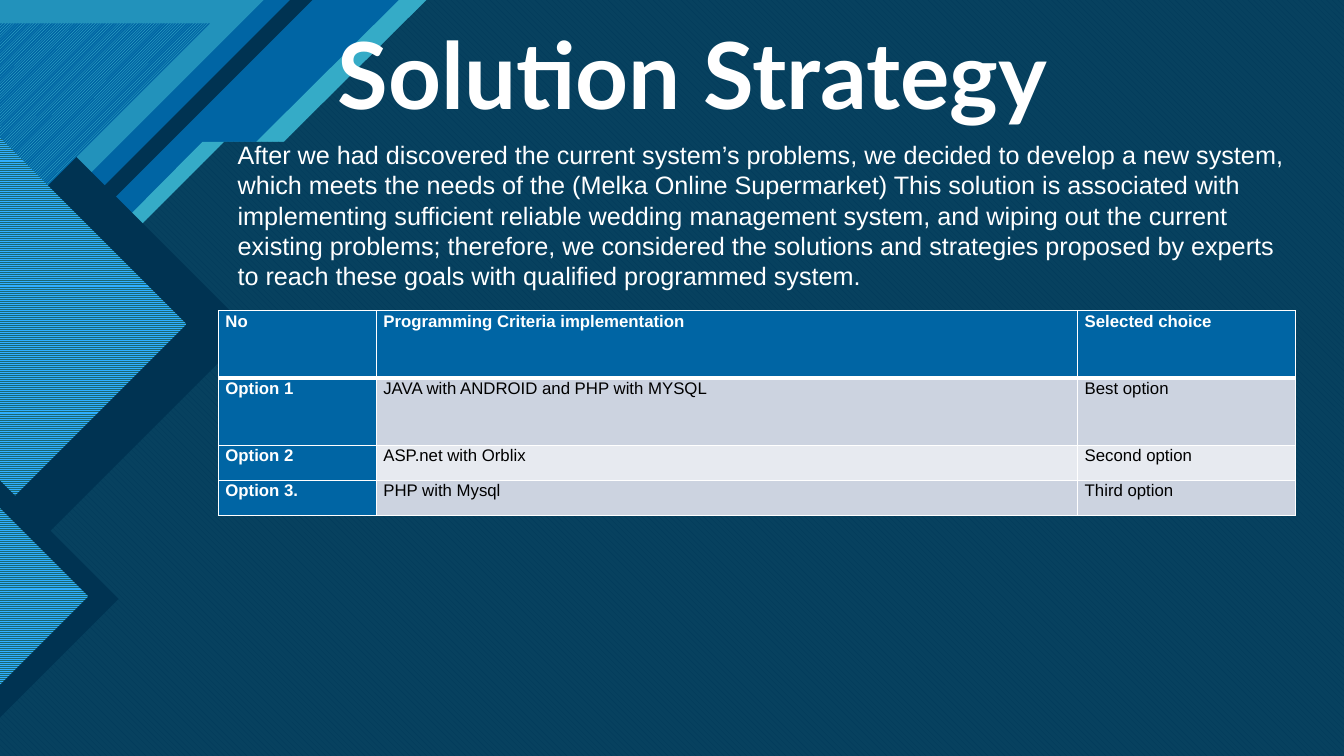
from dataclasses import dataclass

from lxml.etree import SubElement
from pptx import Presentation
from pptx.dml.color import RGBColor
from pptx.enum.dml import MSO_PATTERN
from pptx.enum.text import MSO_ANCHOR, MSO_AUTO_SIZE, PP_ALIGN
from pptx.oxml.ns import qn
from pptx.slide import Slide
from pptx.table import _Cell
from pptx.text.text import TextFrame
from pptx.util import Emu, Inches, Pt

COLORS = {
    "blue": "0065A4",
    "navy": "003352",
    "teal": "35ABC7",
    "sky": "2292BB",
    "aqua": "47C3D3",
    "backdrop": "07415F",
    "backdrop_line": "00385A",
    "diamond": "1B6872",
    "diamond_line": "2FAFFF",
    "white": "FFFFFF",
    "black": "000000",
    "odd_row": "CCD3E0",
    "even_row": "E7EAF0",
}

SLIDE_WIDTH, SLIDE_HEIGHT = Inches(13.33), Inches(7.5)
GRID_COLUMNS, GRID_ROWS = 160, 90


def across(columns: float) -> Emu:
    return Emu(round(SLIDE_WIDTH * columns / GRID_COLUMNS))


def down(rows: float) -> Emu:
    return Emu(round(SLIDE_HEIGHT * rows / GRID_ROWS))


def color(name: str) -> RGBColor:
    return RGBColor.from_string(COLORS[name])


@dataclass(frozen=True)
class Panel:
    corners: list[tuple[float, float]]
    fill: str
    line_color: str = ""
    pattern: MSO_PATTERN | None = None


def corner(size: float, top: float = 0) -> list[tuple[float, float]]:
    return [(0, top), (size, top), (0, top + size)]


def half_diamond(middle: float, reach: float) -> list[tuple[float, float]]:
    return [(0, middle - reach), (reach, middle), (0, middle + reach)]


def field(top_start: float, shelf_end: float, shelf_start: float,
          left_start: float) -> list[tuple[float, float]]:
    shelf = 16.9
    return [(top_start, 0), (GRID_COLUMNS, 0), (GRID_COLUMNS, GRID_ROWS),
            (0, GRID_ROWS), (0, left_start), (shelf_start, shelf), (shelf_end, shelf)]


PANELS = [
    Panel(field(47.5, 30.5, 24.1, 41.2), "teal"),
    Panel(corner(37.2), "navy"),
    Panel(corner(34.5), "blue"),
    Panel(corner(31.4), "sky"),
    Panel(field(50.8, 33.8, 26.7, 43.6), "backdrop", "backdrop_line",
          MSO_PATTERN.WIDE_DOWNWARD_DIAGONAL),
    Panel(half_diamond(39.4, 29.8), "navy"),
    Panel(corner(25, 2.8), "blue", "aqua", MSO_PATTERN.LIGHT_UPWARD_DIAGONAL),
    Panel(half_diamond(38.6, 22.2), "diamond", "diamond_line", MSO_PATTERN.LIGHT_HORIZONTAL),
    Panel(half_diamond(71.3, 14.1), "navy"),
    Panel(half_diamond(71, 10.5), "diamond", "diamond_line", MSO_PATTERN.LIGHT_HORIZONTAL),
]

INTRODUCTION = (
    "After we had discovered the current system’s problems, we decided to develop a new "
    "system, which meets the needs of the (Melka Online Supermarket) This solution is "
    "associated with implementing sufficient reliable wedding management system, and wiping "
    "out the current existing problems; therefore, we considered the solutions and strategies "
    "proposed by experts to reach these goals with qualified programmed system."
)

OPTIONS = [
    ["No", "Programming Criteria implementation", "Selected choice"],
    ["Option 1", "JAVA with ANDROID and PHP with MYSQL", "Best option"],
    ["Option 2", "ASP.net with Orblix", "Second option"],
    ["Option 3.", "PHP with Mysql", "Third option"],
]
OPTION_COLUMNS = [18.8, 83.5, 25.9]
OPTION_ROWS = [8.04, 7.98, 4.16, 4.16]


def draw_panel(page: Slide, panel: Panel) -> None:
    points = [(across(column), down(row)) for column, row in panel.corners]
    builder = page.shapes.build_freeform(*points[0])
    builder.add_line_segments(points[1:], close=True)
    shape = builder.convert_to_shape()
    shape.shadow.inherit = False
    shape.line.fill.background()
    if panel.pattern is None:
        shape.fill.solid()
        shape.fill.fore_color.rgb = color(panel.fill)
    else:
        shape.fill.patterned()
        shape.fill.pattern = panel.pattern
        shape.fill.fore_color.rgb = color(panel.line_color)
        shape.fill.back_color.rgb = color(panel.fill)


def write(frame: TextFrame, text: str, *, size: float, ink: str = "white",
          font: str = "Arial", bold: bool = False, align: PP_ALIGN = PP_ALIGN.LEFT,
          spacing: float = 1.0, after: float = 0) -> None:
    frame.word_wrap = True
    para = frame.paragraphs[0]
    para.alignment = align
    para.line_spacing = spacing
    para.space_before = Pt(0)
    para.space_after = Pt(after)
    span = para.add_run()
    span.text = text
    span.font.name = font
    span.font.size = Pt(size)
    span.font.bold = bold
    span.font.color.rgb = color(ink)


def add_borders(cell: _Cell, top: float, bottom: float) -> None:
    properties = cell._tc.get_or_add_tcPr()
    for side, width in (("L", 1), ("R", 1), ("T", top), ("B", bottom)):
        border = SubElement(properties, qn(f"a:ln{side}"), w=str(Pt(width)))
        fill = SubElement(border, qn("a:solidFill"))
        SubElement(fill, qn("a:srgbClr"), val=COLORS["white"])


def draw_options(page: Slide) -> None:
    frame = page.shapes.add_table(
        len(OPTION_ROWS), len(OPTION_COLUMNS), across(26), down(37),
        across(sum(OPTION_COLUMNS)), down(sum(OPTION_ROWS)))
    table = frame.table
    for column, width in zip(table.columns, OPTION_COLUMNS):
        column.width = across(width)
    for row, height in zip(table.rows, OPTION_ROWS):
        row.height = down(height)
    for row_index, texts in enumerate(OPTIONS):
        for column_index, text in enumerate(texts):
            cell = table.cell(row_index, column_index)
            heading = row_index == 0 or column_index == 0
            add_borders(cell, 3 if row_index == 1 else 1, 3 if row_index == 0 else 1)
            cell.margin_left = cell.margin_right = Inches(0.07)
            cell.margin_top = cell.margin_bottom = 0
            cell.fill.solid()
            band = "odd_row" if row_index % 2 else "even_row"
            cell.fill.fore_color.rgb = color("blue" if heading else band)
            write(cell.text_frame, text, size=12, bold=heading,
                  ink="white" if heading else "black",
                  align=PP_ALIGN.JUSTIFY, spacing=1.07, after=8)


def draw_title(page: Slide) -> None:
    title = page.shapes.title
    page.shapes._spTree.append(title._element)
    title.left, title.top = across(39), down(5.2)
    title.width, title.height = across(102.1), down(10.8)
    title.text_frame.auto_size = MSO_AUTO_SIZE.NONE
    title.text_frame.vertical_anchor = MSO_ANCHOR.BOTTOM
    write(title.text_frame, "Solution Strategy", size=66, font="Lato", bold=True, spacing=0.9)


def draw_introduction(page: Slide) -> None:
    box = page.shapes.add_textbox(across(27.1), down(16), across(128.2), down(19.4))
    write(box.text_frame, INTRODUCTION, size=18)


def main() -> None:
    deck = Presentation()
    deck.slide_width, deck.slide_height = SLIDE_WIDTH, SLIDE_HEIGHT
    page = deck.slides.add_slide(deck.slide_layouts[5])
    page.background.fill.solid()
    page.background.fill.fore_color.rgb = color("blue")
    for panel in PANELS:
        draw_panel(page, panel)
    draw_title(page)
    draw_introduction(page)
    draw_options(page)
    deck.save("out.pptx")


if __name__ == "__main__":
    main()
